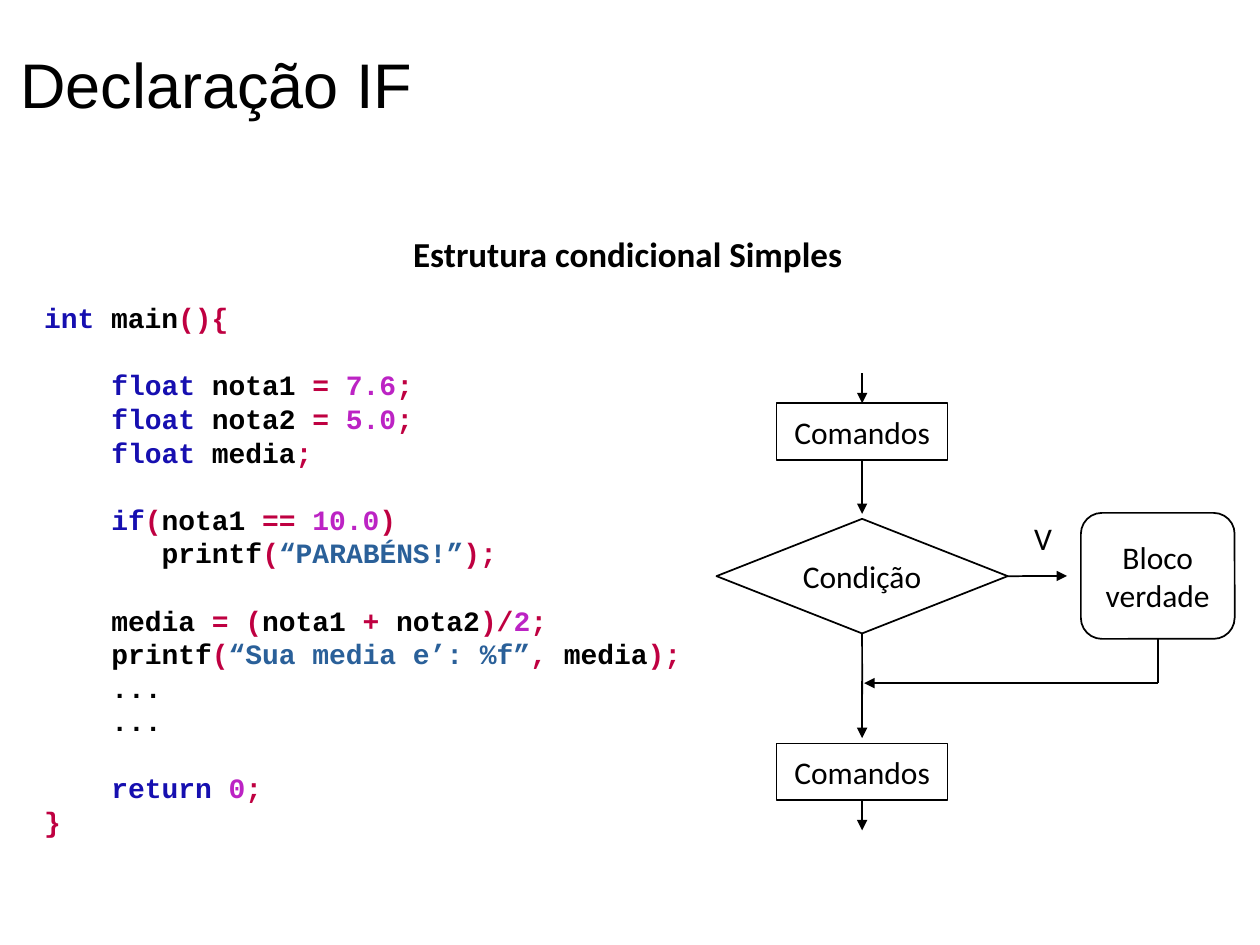
from lxml.etree import SubElement
from pptx import Presentation
from pptx.dml.color import RGBColor
from pptx.enum.shapes import MSO_CONNECTOR, MSO_SHAPE as Shape
from pptx.enum.text import MSO_ANCHOR, PP_ALIGN
from pptx.oxml.ns import qn
from pptx.util import Cm, Pt

BLACK = RGBColor(0x00, 0x00, 0x00)
WHITE = RGBColor(0xFF, 0xFF, 0xFF)
KEYWORD = RGBColor(0x16, 0x0F, 0xB0)
SYMBOL = RGBColor(0xBF, 0x00, 0x41)
NUMBER = RGBColor(0xBC, 0x23, 0xC4)
STRING = RGBColor(0x2A, 0x60, 0x99)

CODE_SIZE = 16
LINE_PITCH = Pt(19.2)
CHAR_WIDTH = Pt(CODE_SIZE * 0.6)
AXIS = 17.38  # centre line of the flowchart, in cm
MERGE_Y = 13.77  # height at which the true branch rejoins the axis

# (blank lines above, indent in characters, [(text, colour), ...])
CODE = [
    (0, 0, [("int ", KEYWORD), ("main", BLACK), ("(){", SYMBOL)]),
    (1, 4, [("float ", KEYWORD), ("nota1 ", BLACK), ("= ", SYMBOL),
            ("7.6", NUMBER), (";", SYMBOL)]),
    (0, 4, [("float ", KEYWORD), ("nota2 ", BLACK), ("= ", SYMBOL),
            ("5.0", NUMBER), (";", SYMBOL)]),
    (0, 4, [("float ", KEYWORD), ("media", BLACK), (";", SYMBOL)]),
    (1, 4, [("if", KEYWORD), ("(", SYMBOL), ("nota1 ", BLACK),
            ("== ", SYMBOL), ("10.0", NUMBER), (")", SYMBOL)]),
    (0, 7, [("printf", BLACK), ("(", SYMBOL), ("“PARABÉNS!”", STRING),
            (");", SYMBOL)]),
    (1, 4, [("media ", BLACK), ("= (", SYMBOL), ("nota1 ", BLACK),
            ("+", SYMBOL), (" nota2", BLACK), (")/", SYMBOL),
            ("2", NUMBER), (";", SYMBOL)]),
    (0, 4, [("printf", BLACK), ("(", SYMBOL), ("“Sua media e’: %f”", STRING),
            (",", SYMBOL), (" media", BLACK), (");", SYMBOL)]),
    (0, 4, [("...", BLACK)]),
    (0, 4, [("...", BLACK)]),
    (1, 4, [("return ", KEYWORD), ("0", NUMBER), (";", SYMBOL)]),
    (0, 0, [("}", SYMBOL)]),
]


def style_run(r, font, size, color=BLACK, bold=False):
    r.font.name = font
    r.font.size = Pt(size)
    r.font.color.rgb = color
    r.font.bold = bold


def add_text(slide, text, left, top, width, height, font, size, bold=False):
    tf = slide.shapes.add_textbox(
        Cm(left), Cm(top), Cm(width), Cm(height)).text_frame
    tf.word_wrap = False
    tf.text = text
    style_run(tf.paragraphs[0].runs[0], font, size, bold=bold)
    return tf


def add_title(slide, text):
    tf = add_text(slide, text, 0.41, 0.33, 24.79, 2.69, "Arial", 36)
    tf.word_wrap = True
    tf.vertical_anchor = MSO_ANCHOR.MIDDLE
    tf.margin_left = tf.margin_right = tf.margin_top = tf.margin_bottom = 0


def add_code(slide, lines, left, top, width, height):
    tf = slide.shapes.add_textbox(
        Cm(left), Cm(top), Cm(width), Cm(height)).text_frame
    tf.word_wrap = False
    for i, (blanks, indent, tokens) in enumerate(lines):
        p = tf.add_paragraph() if i else tf.paragraphs[0]
        p.line_spacing = LINE_PITCH
        p.space_before = LINE_PITCH * blanks
        pPr = p._p.get_or_add_pPr()
        pPr.set("marL", str(CHAR_WIDTH * indent))
        pPr.set("indent", "0")
        for text, color in tokens:
            r = p.add_run()
            r.text = text
            style_run(r, "Courier New", CODE_SIZE, color, bold=True)


def add_node(slide, kind, text, center_x, top, width, height):
    s = slide.shapes.add_shape(
        kind, Cm(center_x - width / 2), Cm(top), Cm(width), Cm(height))
    s.shadow.inherit = False
    s.fill.solid()
    s.fill.fore_color.rgb = WHITE
    s.line.color.rgb = BLACK
    s.line.width = Pt(1)
    tf = s.text_frame
    tf.word_wrap = True
    tf.vertical_anchor = MSO_ANCHOR.MIDDLE
    tf.text = text
    p = tf.paragraphs[0]
    p.alignment = PP_ALIGN.CENTER
    style_run(p.runs[0], "Calibri", 18)
    return s


def add_line(slide, start, end, arrow=True):
    """Each end is an (x, y) point in cm or a (shape, site) pair."""
    line = slide.shapes.add_connector(MSO_CONNECTOR.STRAIGHT, 0, 0, 0, 0)
    if isinstance(start[0], float):
        line.begin_x, line.begin_y = Cm(start[0]), Cm(start[1])
    else:
        line.begin_connect(*start)
    if isinstance(end[0], float):
        line.end_x, line.end_y = Cm(end[0]), Cm(end[1])
    else:
        line.end_connect(*end)
    line.line.color.rgb = BLACK
    line.line.width = Pt(1)
    if arrow:
        SubElement(line.line._get_or_add_ln(), qn("a:tailEnd"), type="triangle")
    SubElement(line._element.spPr, qn("a:effectLst"))


def add_flowchart(slide):
    before = add_node(slide, Shape.RECTANGLE, "Comandos", AXIS, 8.13, 3.45, 1.14)
    condition = add_node(slide, Shape.FLOWCHART_DECISION, "Condição",
                         AXIS, 10.46, 5.87, 2.31)
    block = add_node(slide, Shape.ROUNDED_RECTANGLE, "Bloco verdade",
                     23.34, 10.34, 3.1, 2.54)
    after = add_node(slide, Shape.RECTANGLE, "Comandos", AXIS, 14.99, 3.45, 1.14)

    add_line(slide, (AXIS, 7.52), (before, 0))
    add_line(slide, (before, 2), (AXIS, 10.36))
    add_line(slide, (condition, 3), (21.51, 11.61))
    add_line(slide, (condition, 2), (AXIS, 14.0), arrow=False)
    add_line(slide, (block, 2), (23.34, MERGE_Y), arrow=False)
    add_line(slide, (23.34, MERGE_Y), (17.42, MERGE_Y))
    add_line(slide, (AXIS, 13.72), (AXIS, 14.88))
    add_line(slide, (after, 2), (AXIS, 16.74))
    add_text(slide, "V", 20.6, 10.34, 0.86, 1.02, "Calibri", 18)


def main():
    prs = Presentation()
    prs.slide_width, prs.slide_height = Cm(25.4), Cm(19.05)
    slide = prs.slides.add_slide(prs.slide_layouts[6])
    add_title(slide, "Declaração IF")
    add_code(slide, CODE, 0.64, 5.94, 13.39, 11.07)
    add_flowchart(slide)
    add_text(slide, "Estrutura condicional Simples",
             8.08, 4.57, 9.17, 1.09, "Calibri", 20, bold=True)
    prs.save("out.pptx")


if __name__ == "__main__":
    main()
